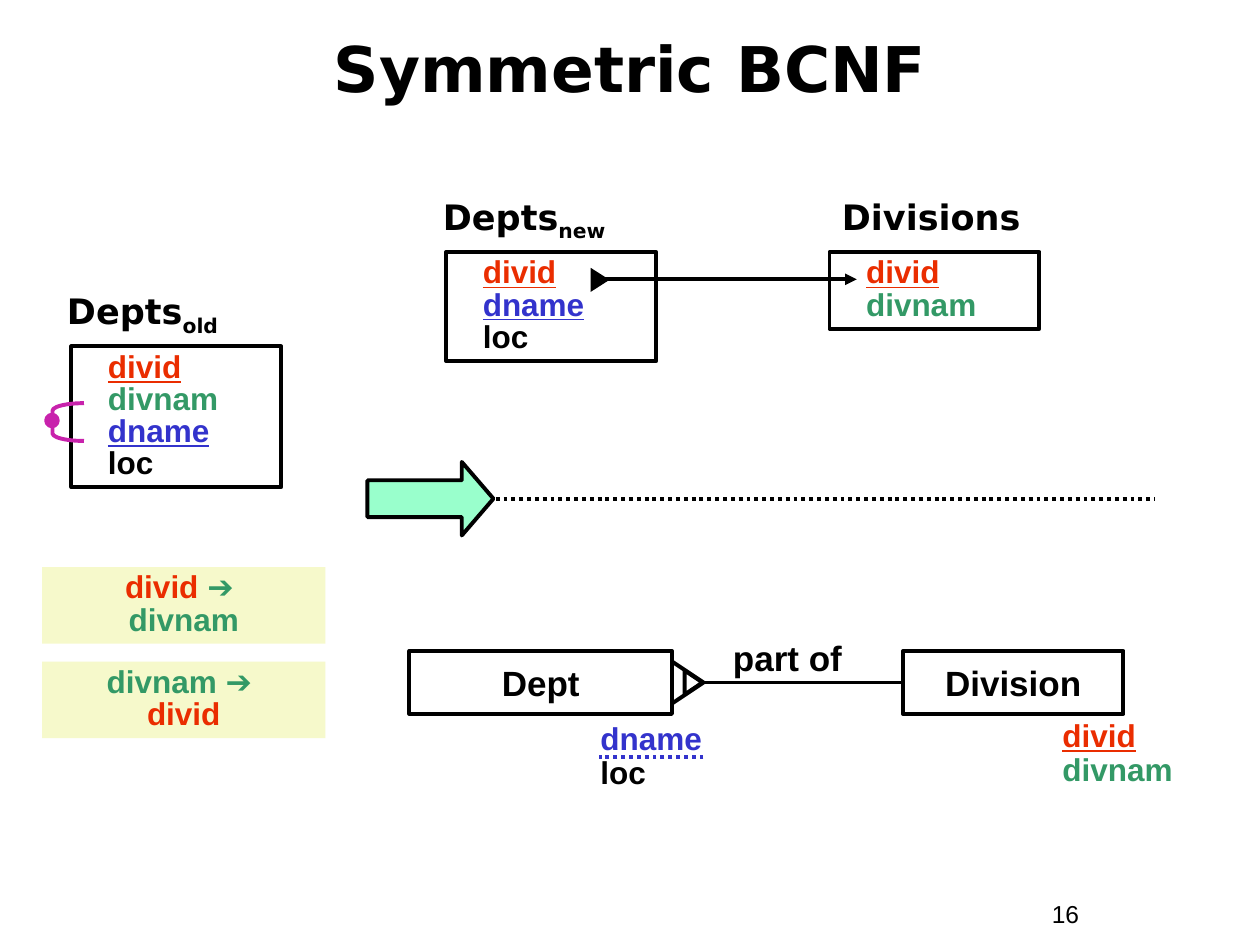
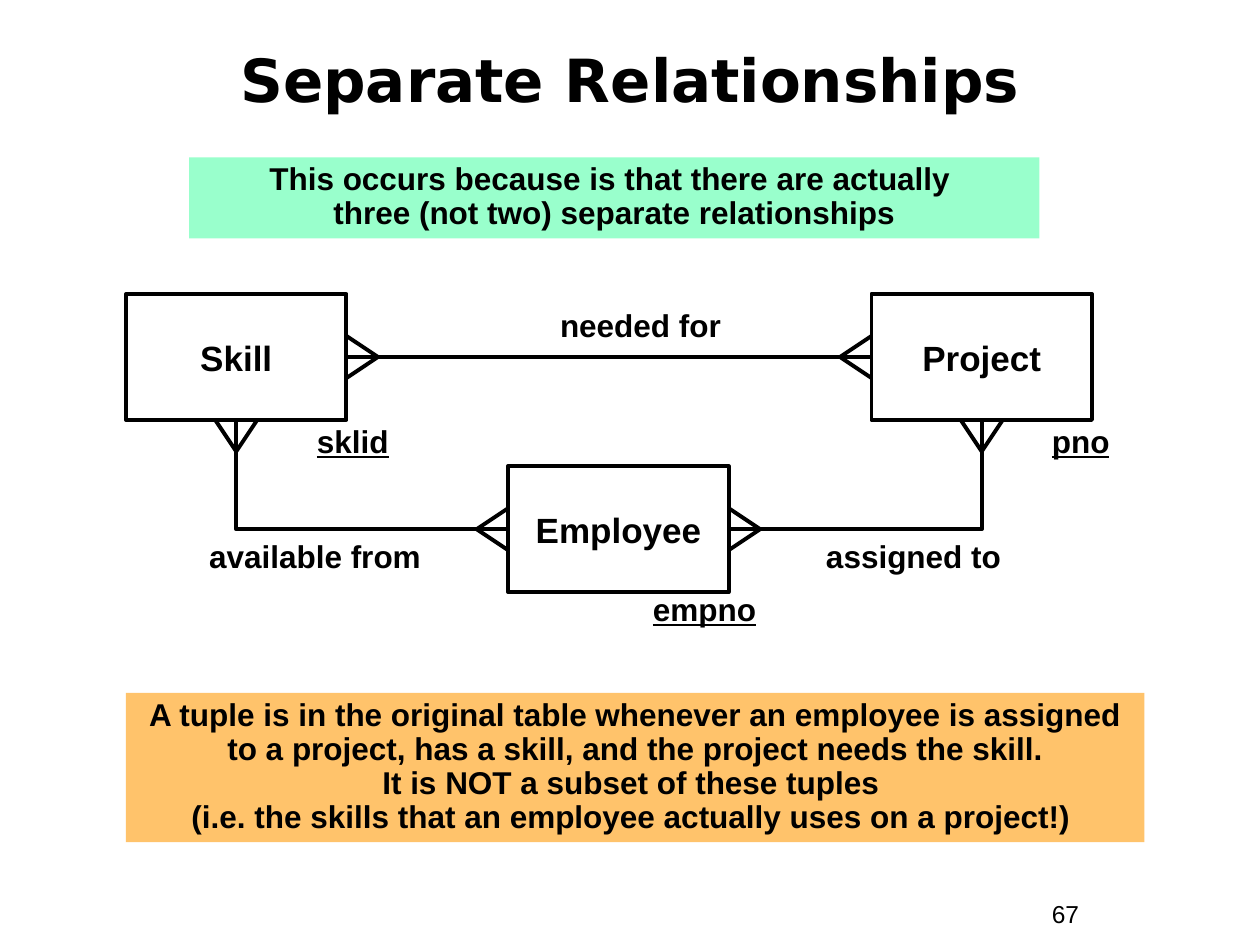
"""Builds two database design slides: Symmetric BCNF and Separate Relationships."""
from dataclasses import dataclass

from lxml import etree
from pptx import Presentation
from pptx import util as u
from pptx.dml.color import RGBColor
from pptx.enum import dml, shapes, text
from pptx.oxml.ns import qn


@dataclass(frozen=True)
class Theme:
    """Colours, fonts and sizes shared by the slides."""
    ink: str = "000000"
    red: str = "EA2D00"
    green: str = "339966"
    blue: str = "3333CC"
    purple: str = "C822AC"
    mint: str = "99FFCC"
    cream: str = "F6F9CB"
    orange: str = "FFC36B"
    heading_font: str = "DejaVu Sans"
    body_font: str = "Arial"
    heading_size: int = 20
    body_size: int = 18
    number_size: int = 14
    line: float = 2.25


THEME = Theme()
CELL = u.Inches(10) // 120
TITLE_ONLY = 5
KINDS = shapes.MSO_SHAPE
LEFT, CENTER = text.PP_ALIGN.LEFT, text.PP_ALIGN.CENTER
TOP_SIDE, LEFT_SIDE, BOTTOM_SIDE, RIGHT_SIDE = range(4)

DIVID = [("divid", THEME.red, "underline")]
DIVNAM = [("divnam", THEME.green)]
DNAME = [("dname", THEME.blue, "underline")]
LOC = [("loc", THEME.ink)]

TABLES = [
    ("Depts", "old", (5.2, 27), (6.8, 33, 20, 13.4), [DIVID, DIVNAM, DNAME, LOC]),
    ("Depts", "new", (41, 18), (42.5, 24, 20, 10.4), [DIVID, DNAME, LOC]),
    ("Divisions", "", (79, 18), (79, 24, 20, 7.3), [DIVID, DIVNAM]),
]
DEPENDENCIES = [
    [("divid ", THEME.red), ("➔ \ndivnam", THEME.green)],
    [("divnam ➔ \n ", THEME.green), ("divid ", THEME.red)],
]
ATTRIBUTES = [
    ((100, 68, 13, 7.7), [DIVID, DIVNAM]),
    ((56, 68.3, 20, 7.7), [[("dname", THEME.blue)], LOC]),
]
ENTITIES = {
    "Skill": (12, 28, "sklid", (29, 40, 12, 4.4)),
    "Project": (83, 28, "pno", (99, 40, 10, 4.4)),
    "Employee": (48.4, 44.4, "empno", (61, 56, 14, 4.4)),
}
ENTITY_SIZE = (21, 12)
RELATIONSHIPS = [
    ("needed for", (51, 29, 20, 4.4)),
    ("available from", (18, 51, 24, 4.4)),
    ("assigned to", (77, 51, 20, 4.4)),
]
BANNERS = [
    (THEME.mint, (18, 15, 81, 7.7),
     "This occurs because is that there are actually \nthree (not two) separate relationships"),
    (THEME.orange, (12, 66, 97, 14.2),
     "A tuple is in the original table whenever an employee is assigned to a project, "
     "has a skill, and the project needs the skill.\nIt is NOT a subset of these tuples \n"
     "(i.e. the skills that an employee actually uses on a project!) "),
]


def grid(*cells):
    """Turn grid cells into slide lengths."""
    return [round(cell * CELL) for cell in cells]


def colour(code):
    """Return a colour from its code."""
    return RGBColor.from_string(code)


def write(box, paragraphs, size=THEME.body_size, font=THEME.body_font, bold=True,
          align=LEFT, spacing=None, anchor=text.MSO_ANCHOR.TOP, indent=0):
    """Fill a box with paragraphs of (text, colour, mark) spans."""
    frame = box.text_frame
    frame.word_wrap = True
    frame.vertical_anchor = anchor
    frame.margin_left = u.Inches(0.1 + indent)
    for index, spans in enumerate(paragraphs):
        para = frame.add_paragraph() if index else frame.paragraphs[0]
        para.alignment, para.line_spacing = align, spacing
        for words, code, *marks in spans:
            for number, piece in enumerate(words.split("\n")):
                if number:
                    para.add_line_break()
                span = para.add_run()
                span.text = piece
                span.font.name, span.font.size, span.font.bold = font, u.Pt(size), bold
                span.font.color.rgb = colour(code)
                if "underline" in marks:
                    span.font.underline = True
                if "subscript" in marks:
                    span.font._element.set("baseline", "-25000")


def label(page, place, paragraphs, **style):
    """Add a text box."""
    write(page.shapes.add_textbox(*grid(*place)), paragraphs, **style)


def outline(shape, fill=None, line=THEME.ink):
    """Set the fill and line of a shape, without shadow."""
    shape.shadow.inherit = False
    if fill:
        shape.fill.solid()
        shape.fill.fore_color.rgb = colour(fill)
    else:
        shape.fill.background()
    if line:
        shape.line.color.rgb = colour(line)
        shape.line.width = u.Pt(THEME.line)
    else:
        shape.line.fill.background()
    return shape


def draw(page, kind, place, fill=None, line=THEME.ink, rotation=0):
    """Add a preset shape."""
    shape = outline(page.shapes.add_shape(kind, *grid(*place)), fill, line)
    shape.rotation = rotation
    return shape


def connect(page, start, end, code=THEME.ink, dotted=False, arrow=False):
    """Add a straight connector."""
    link = page.shapes.add_connector(shapes.MSO_CONNECTOR.STRAIGHT, *grid(*start, *end))
    link.line.color.rgb = colour(code)
    link.line.width = u.Pt(THEME.line)
    if dotted:
        link.line.dash_style = dml.MSO_LINE.ROUND_DOT
    if arrow:
        etree.SubElement(link.line._get_or_add_ln(), qn("a:tailEnd"), type="triangle")
    etree.SubElement(link._element.spPr, qn("a:effectLst"))
    return link


def entity(page, name, place):
    """Add a named entity rectangle."""
    box = draw(page, KINDS.RECTANGLE, place)
    write(box, [[(name, THEME.ink)]], size=THEME.heading_size, align=CENTER,
          anchor=text.MSO_ANCHOR.MIDDLE)
    return box


def banner(page, place, fill, spans, spacing):
    """Add a filled band with centred text."""
    box = draw(page, KINDS.RECTANGLE, place, fill, line=None)
    write(box, [spans], align=CENTER, spacing=spacing)


def side_point(place, side):
    """Return the middle of a rectangle's side."""
    left, top, width, height = place
    across, down = {TOP_SIDE: (0.5, 0), LEFT_SIDE: (0, 0.5),
                    BOTTOM_SIDE: (0.5, 1), RIGHT_SIDE: (1, 0.5)}[side]
    return left + across * width, top + down * height


def crow_foot(page, place, side, length=3, spread=2):
    """Add the two outer prongs of a crow's foot at a side's middle."""
    x, y = side_point(place, side)
    dx, dy = {LEFT_SIDE: (-1, 0), BOTTOM_SIDE: (0, 1), RIGHT_SIDE: (1, 0)}[side]
    for offset in (-spread, spread):
        connect(page, (x + length * dx, y + length * dy), (x + offset * dy, y + offset * dx))


def elbow(page, start, end):
    """Add a line that goes down from start, then across to end."""
    points = [tuple(grid(*point)) for point in (start, (start[0], end[1]), end)]
    builder = page.shapes.build_freeform(*points[0])
    builder.add_line_segments(points[1:], close=False)
    outline(builder.convert_to_shape())


def add_page(deck, title, place, size, number):
    """Add a page with its title and number."""
    page = deck.slides.add_slide(deck.slide_layouts[TITLE_ONLY])
    box = page.shapes.title
    box.left, box.top, box.width, box.height = grid(*place)
    write(box, [[(title, THEME.ink)]], size=size, font=THEME.heading_font,
          align=CENTER, spacing=0.85, anchor=text.MSO_ANCHOR.MIDDLE)
    label(page, (99, 85, 11, 4), [[(number, THEME.ink)]], size=THEME.number_size, bold=False)
    return page


def symmetric_bcnf(deck):
    """Build the slide on splitting the departments table."""
    page = add_page(deck, "Symmetric BCNF", (4, 2, 112, 10), 36, "16")
    connect(page, (39, 47.5), (110, 47.5), dotted=True)
    split_arrow = draw(page, KINDS.RIGHT_ARROW, (35, 44, 12, 7), THEME.mint)
    split_arrow.adjustments[1] = 0.43

    for name, version, corner, place, fields in TABLES:
        heading = [(name, THEME.ink), (version, THEME.ink, "subscript")]
        label(page, (*corner, 30, 5.8), [heading[:2 if version else 1]],
              size=THEME.heading_size, font=THEME.heading_font)
        write(draw(page, KINDS.RECTANGLE, place), fields, spacing=0.85, indent=0.19)
    connect(page, (56.6, 26.6), (81.6, 26.6), arrow=True)
    draw(page, KINDS.ISOSCELES_TRIANGLE, (56, 25.75, 2.3, 1.8), THEME.ink, None, rotation=90)

    for row, spans in enumerate(DEPENDENCIES):
        banner(page, (4, 54 + 9 * row, 27, 7.3), THEME.cream, spans, 0.85)

    entity(page, "Dept", (39, 62, 25, 6))
    division = entity(page, "Division", (86, 62, 21, 6))
    part_of = connect(page, (67, 65), (86, 65))
    part_of.end_connect(division, LEFT_SIDE)
    label(page, (65, 60, 20, 5.3), [[("part of", THEME.ink)]],
          size=THEME.heading_size, align=CENTER)
    for place, fields in ATTRIBUTES:
        label(page, place, fields, spacing=0.9)
    connect(page, (67, 72.1), (57, 72.1), THEME.blue, dotted=True)
    for place in ((63.5, 63.5, 4, 3), (64.9, 64.15, 2.3, 1.7)):
        draw(page, KINDS.ISOSCELES_TRIANGLE, place, rotation=90)

    bracket = draw(page, KINDS.LEFT_BRACKET, (5, 38.4, 3, 3.6), line=THEME.purple)
    bracket.adjustments[0] = 0.24
    draw(page, KINDS.OVAL, (4.4, 39.5, 1.1, 1.1), THEME.purple, THEME.purple)


def separate_relationships(deck):
    """Build the slide on three entities and their relationships."""
    page = add_page(deck, "Separate Relationships", (2, 4, 116, 8), 34, "67")
    for fill, place, words in BANNERS:
        banner(page, place, fill, [(words, THEME.ink)], 0.9)

    places, boxes = {}, {}
    for name, (left, top, key, key_place) in ENTITIES.items():
        places[name] = (left, top, *ENTITY_SIZE)
        boxes[name] = entity(page, name, places[name])
        label(page, key_place, [[(key, THEME.ink, "underline")]], spacing=0.9)
    for words, place in RELATIONSHIPS:
        label(page, place, [[(words, THEME.ink)]], align=CENTER, spacing=0.9)

    needed_for = connect(page, side_point(places["Skill"], RIGHT_SIDE),
                         side_point(places["Project"], LEFT_SIDE))
    needed_for.begin_connect(boxes["Skill"], RIGHT_SIDE)
    needed_for.end_connect(boxes["Project"], LEFT_SIDE)
    for name, inner, employee_side in (("Skill", RIGHT_SIDE, LEFT_SIDE),
                                       ("Project", LEFT_SIDE, RIGHT_SIDE)):
        elbow(page, side_point(places[name], BOTTOM_SIDE),
              side_point(places["Employee"], employee_side))
        crow_foot(page, places[name], inner)
        crow_foot(page, places[name], BOTTOM_SIDE)
        crow_foot(page, places["Employee"], employee_side)


def main():
    """Build and save the deck."""
    deck = Presentation()
    deck.slide_width, deck.slide_height = u.Inches(10), u.Inches(7.5)
    symmetric_bcnf(deck)
    separate_relationships(deck)
    deck.save("out.pptx")


if __name__ == "__main__":
    main()
